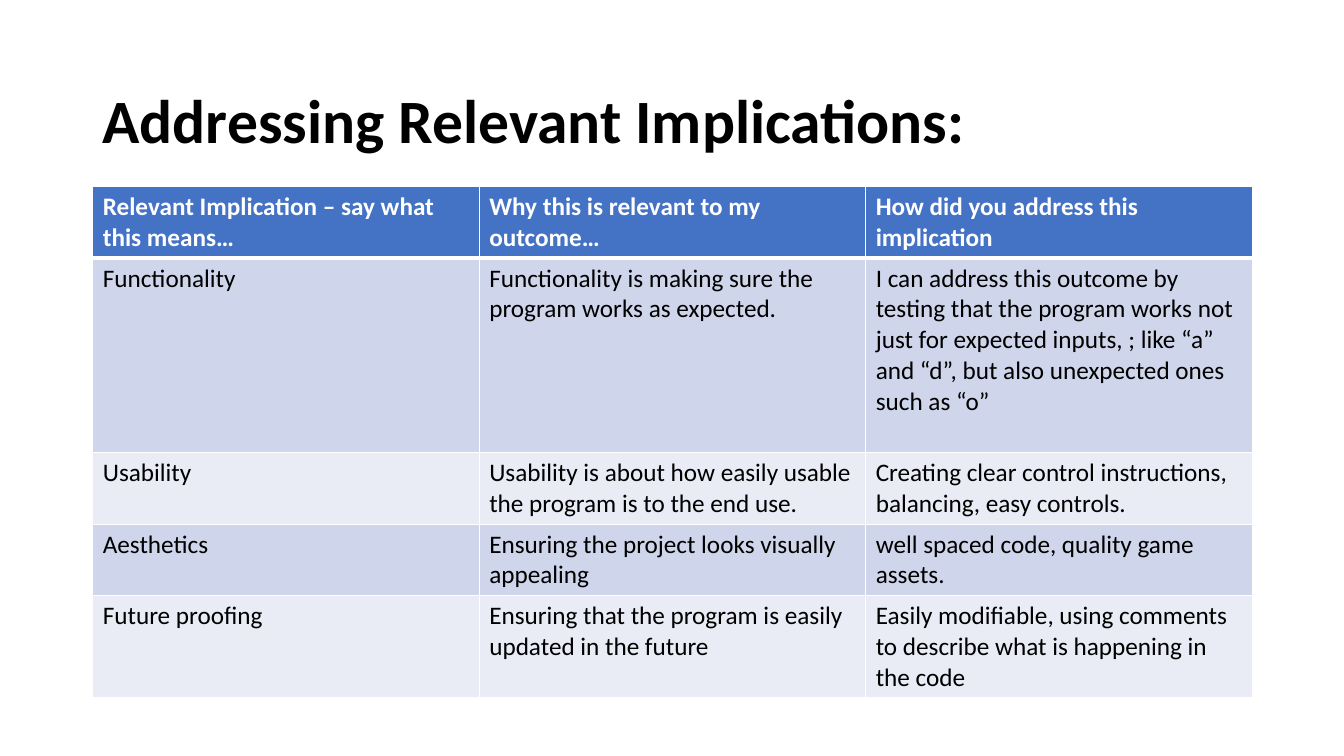
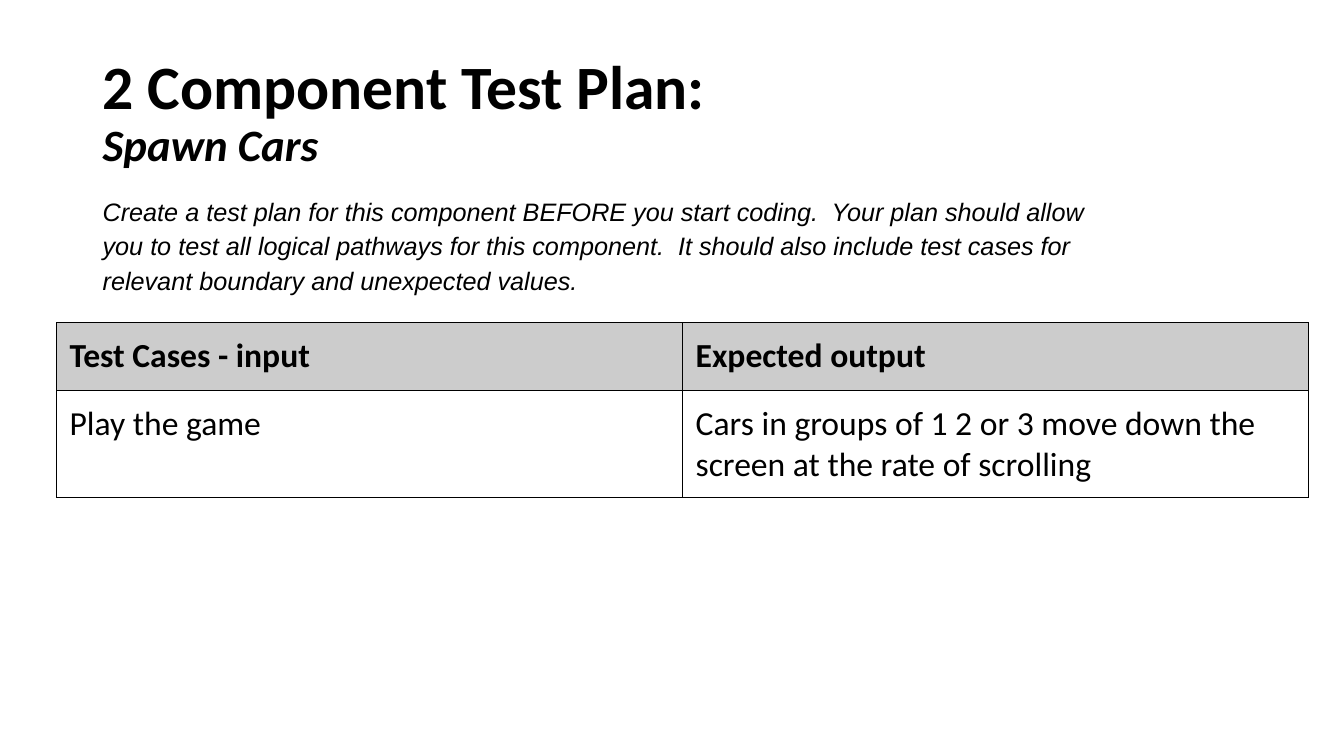
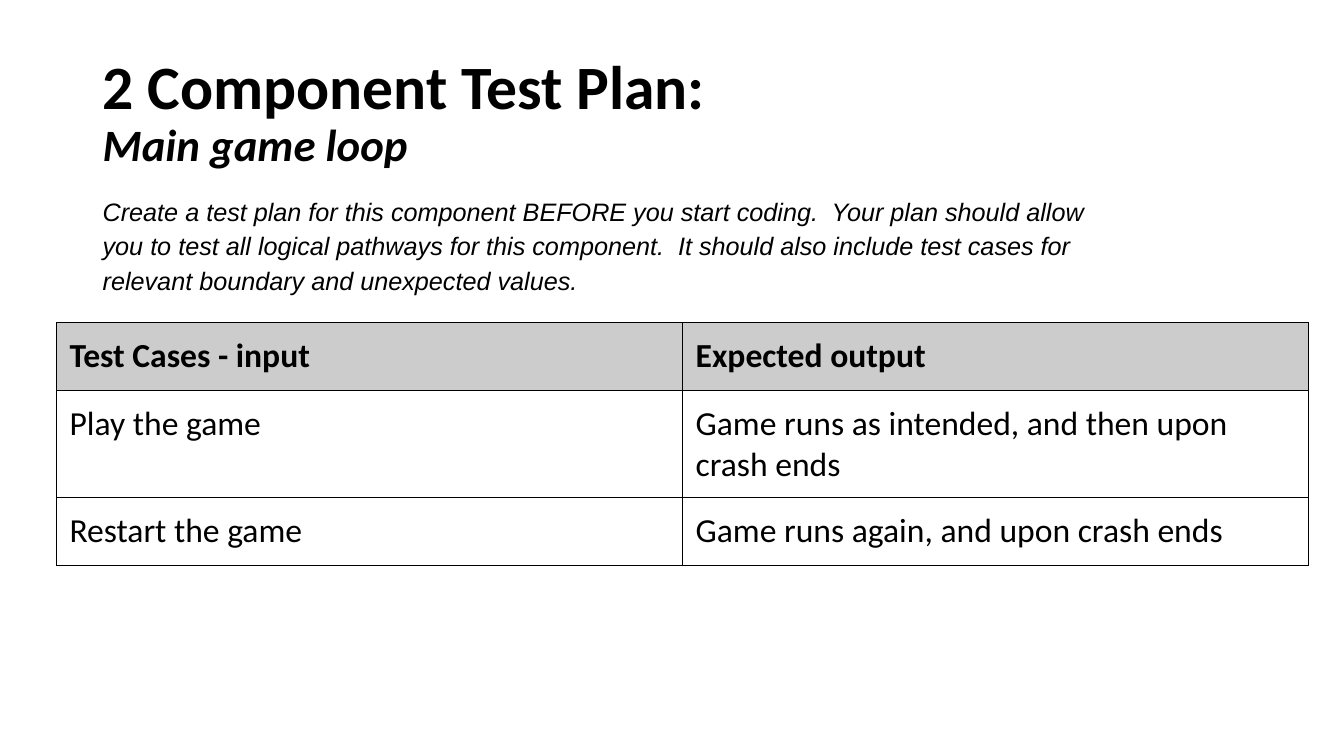
from dataclasses import dataclass

from lxml.etree import SubElement
from pptx import Presentation
from pptx.dml.color import RGBColor
from pptx.enum.text import MSO_ANCHOR
from pptx.oxml.ns import qn
from pptx.util import Emu, Pt


@dataclass(frozen=True)
class Theme:
    font: str = "Calibri"
    note_font: str = "Arial"
    black: str = "000000"
    white: str = "FFFFFF"
    blue: str = "4472C4"
    bands: tuple = ("CFD5EA", "E9EBF5")
    gray: str = "CCCCCC"
    title: int = 44
    sub: int = 32
    cell: int = 24
    body: int = 18


@dataclass(frozen=True)
class Look:
    """How a table is drawn; pads are the side and top margins in px."""
    size: int
    head: str
    ink: str
    bands: tuple
    edge: str
    line: float
    rule: float
    pads: tuple


THEME = Theme()
GRID = Look(THEME.body, THEME.blue, THEME.white, THEME.bands,
            THEME.white, 1, 3, (10, 5))
PLAN = Look(THEME.cell, THEME.gray, THEME.black, (THEME.white,),
            THEME.black, 0.75, 0.75, (13, 13))

TITLE_BOX = (92, 40, 1150, 145)
NOTE_BOX = (92, 185, 1033, 112)
NOTE = ("Create a test plan for this component BEFORE you start coding.  "
        "Your plan should allow you to test all logical pathways for this "
        "component.  It should also include test cases for relevant boundary "
        "and unexpected values.")

ISSUES = [
    ("Relevant Implication – say what this means…",
     "Why this is relevant to my outcome…",
     "How did you address this implication"),
    ("Functionality",
     "Functionality is making sure the program works as expected.",
     "I can address this outcome by testing that the program works not just "
     "for expected inputs, ; like “a” and “d”, but also unexpected ones such "
     "as “o”"),
    ("Usability",
     "Usability is about how easily usable the program is to the end use.",
     "Creating clear control instructions, balancing, easy controls."),
    ("Aesthetics",
     "Ensuring the project looks visually appealing",
     "well spaced code, quality game assets."),
    ("Future proofing",
     "Ensuring that the program is easily updated in the future",
     "Easily modifiable, using comments to describe what is happening "
     "in the code"),
]

TEST_HEAD = ("Test Cases - input", "Expected output")
SPAWN = [("Play the game",
          "Cars in groups of 1 2 or 3 move down the screen at the rate of "
          "scrolling")]
LOOP = [("Play the game",
         "Game runs as intended, and then upon crash ends"),
        ("Restart the game", "Game runs again, and upon crash ends")]


def px(count):
    return Emu(count * 9144)


def style(font, size, name=THEME.font, ink=THEME.black, bold=False,
          italic=False):
    font.name, font.size = name, Pt(size)
    font.bold, font.italic = bold, italic
    font.color.rgb = RGBColor.from_string(ink)


def text_box(slide, box, space):
    """Add a wrapping text box; return its frame and first paragraph."""
    frame = slide.shapes.add_textbox(*map(px, box)).text_frame
    frame.word_wrap = True
    para = frame.paragraphs[0]
    para.line_spacing = space
    return frame, para


def add_title(slide, text, sub=None):
    frame, para = text_box(slide, TITLE_BOX, 0.9 if sub else 1.15)
    frame.vertical_anchor = MSO_ANCHOR.MIDDLE
    style(para.font, THEME.title, bold=True)
    para.add_run().text = text
    if sub:
        para.add_line_break()
        run = para.add_run()
        run.text = sub
        style(run.font, THEME.sub, bold=True, italic=True)


def add_note(slide):
    _, para = text_box(slide, NOTE_BOX, 1.15)
    para.text = NOTE
    style(para.font, THEME.body, THEME.note_font, italic=True)


def add_edge(cell, side, ink, width):
    line = SubElement(cell._tc.get_or_add_tcPr(), qn(f"a:ln{side}"),
                      w=str(Pt(width)))
    fill = SubElement(line, qn("a:solidFill"))
    SubElement(fill, qn("a:srgbClr"), val=ink)


def fill_cell(cell, text, row, look):
    side, top = map(px, look.pads)
    cell.margin_left = cell.margin_right = side
    cell.margin_top = cell.margin_bottom = top
    edges = {"L": look.line, "R": look.line,
             "T": look.rule if row == 1 else look.line,
             "B": look.rule if row == 0 else look.line}
    for name, width in edges.items():
        add_edge(cell, name, look.edge, width)
    head = row == 0
    tint = look.head if head else look.bands[(row - 1) % len(look.bands)]
    cell.fill.solid()
    cell.fill.fore_color.rgb = RGBColor.from_string(tint)
    para = cell.text_frame.paragraphs[0]
    para.text = text
    style(para.font, look.size, ink=look.ink if head else THEME.black,
          bold=head)


def add_grid(slide, left, top, width, rows, highs, look):
    count = len(rows[0])
    table = slide.shapes.add_table(
        len(rows), count, px(left), px(top), px(width), px(sum(highs))).table
    table.first_row = table.horz_banding = False
    for col in table.columns:
        col.width = px(width) // count
    for row, (texts, high) in enumerate(zip(rows, highs)):
        table.rows[row].height = px(high)
        for col, text in enumerate(texts):
            fill_cell(table.cell(row, col), text, row, look)


def issue_slide(slide):
    add_title(slide, "Addressing Relevant Implications:")
    add_grid(slide, 92, 185, 1150, ISSUES, (71, 193, 71, 71, 101), GRID)


def test_slide(slide, part, cases):
    add_title(slide, "2 Component Test Plan: ", part)
    add_note(slide)
    highs = (67, 107, 67)[:len(cases) + 1]
    add_grid(slide, 56, 320, 1242, [TEST_HEAD, *cases], highs, PLAN)


def main():
    deck = Presentation()
    deck.slide_width, deck.slide_height = px(1333), px(750)
    blank = deck.slide_layouts[6]
    issue_slide(deck.slides.add_slide(blank))
    for part, cases in (("Spawn Cars", SPAWN), ("Main game loop", LOOP)):
        test_slide(deck.slides.add_slide(blank), part, cases)
    deck.save("out.pptx")


if __name__ == "__main__":
    main()
